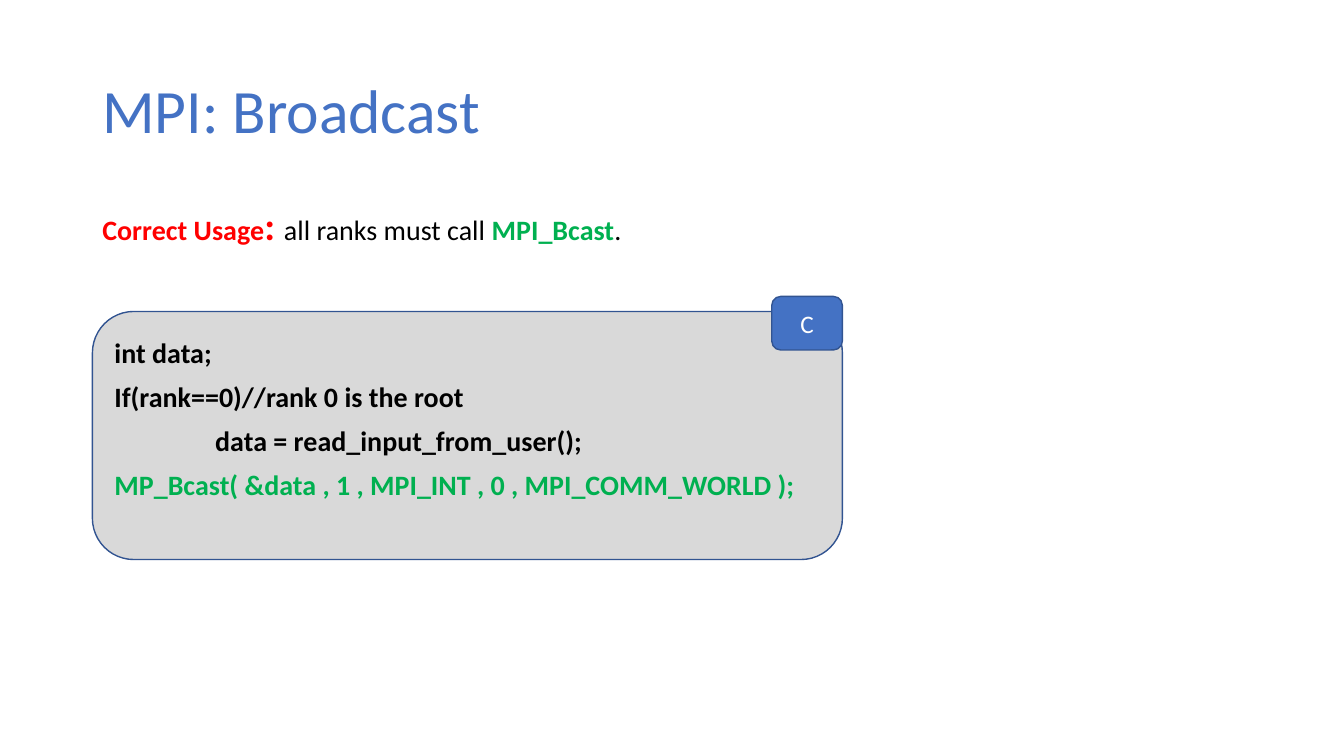
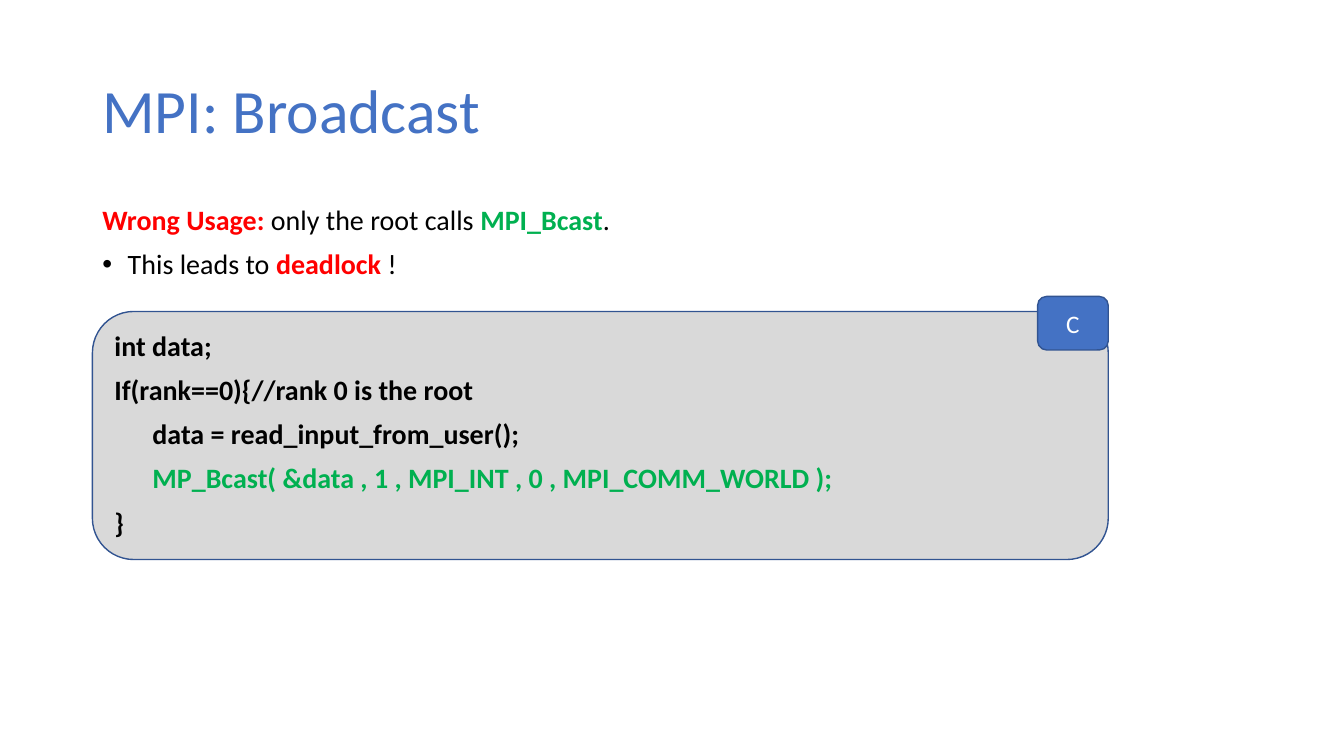
import dataclasses

import lxml.etree
import pptx
import pptx.dml.color
import pptx.enum.shapes
import pptx.enum.text
import pptx.oxml.ns
import pptx.util

Cm = pptx.util.Cm
Pt = pptx.util.Pt
MIDDLE = pptx.enum.text.MSO_ANCHOR.MIDDLE


@dataclasses.dataclass(frozen=True)
class Theme:
    font: str = "Calibri"
    accent: str = "4472C4"
    outline: str = "325491"
    panel: str = "D9D9D9"
    ink: str = "000000"
    paper: str = "FFFFFF"
    alert: str = "FF0000"
    call: str = "00B050"
    title_size: int = 44
    colon_size: int = 28
    body_size: int = 20
    badge_size: int = 18
    line_spacing: float = 0.9
    space_before: int = 10


THEME = Theme()
LEFT, CONTENT_WIDTH = Cm(2.33), Cm(29.21)


def rgb(value):
    return pptx.dml.color.RGBColor.from_string(value)


def style(font, size=None, color=None, bold=None):
    if size:
        font.size = Pt(size)
    if color:
        font.color.rgb = rgb(color)
    if bold is not None:
        font.bold = bold


def add_property(paragraph, tag, **attributes):
    """Append a DrawingML element to the paragraph properties."""
    return lxml.etree.SubElement(paragraph._p.get_or_add_pPr(),
                                 pptx.oxml.ns.qn(tag), **attributes)


def add_bullet(paragraph):
    indent = Cm(0.64)
    properties = paragraph._p.get_or_add_pPr()
    properties.set("marL", str(indent))
    properties.set("indent", str(-indent))
    add_property(paragraph, "a:buFont", typeface="Arial")
    add_property(paragraph, "a:buChar", char="•")


def add_tab_stop(paragraph, position):
    stops = add_property(paragraph, "a:tabLst")
    lxml.etree.SubElement(stops, pptx.oxml.ns.qn("a:tab"),
                          pos=str(position), algn="l")


def next_paragraph(frame, index):
    return frame.paragraphs[0] if index == 0 else frame.add_paragraph()


def set_spacing(paragraph, index):
    paragraph.line_spacing = THEME.line_spacing
    paragraph.space_before = Pt(THEME.space_before if index else 0)


def add_text_area(slide, top, height):
    frame = slide.shapes.add_textbox(LEFT, top, CONTENT_WIDTH, height).text_frame
    frame.word_wrap = True
    return frame


def add_title(slide, text):
    frame = add_text_area(slide, Cm(1.01), Cm(3.68))
    frame.vertical_anchor = MIDDLE
    title = frame.paragraphs[0]
    title.text = text
    set_spacing(title, 0)
    title.font.name = THEME.font
    style(title.font, THEME.title_size, THEME.accent)


def add_usage(slide, lines):
    """Each line is (bulleted, runs); a run is (text, color, bold, size)."""
    frame = add_text_area(slide, Cm(5.08), Cm(12.09))
    for index, (bulleted, runs) in enumerate(lines):
        line = next_paragraph(frame, index)
        if bulleted:
            add_bullet(line)
        set_spacing(line, index)
        line.font.name = THEME.font
        for text, color, bold, size in runs:
            run = line.add_run()
            run.text = text
            style(run.font, size, color, bold)


def add_rounded_box(slide, left, top, width, height, fill):
    box = slide.shapes.add_shape(
        pptx.enum.shapes.MSO_SHAPE.ROUNDED_RECTANGLE, left, top, width, height)
    box.shadow.inherit = False
    box.fill.solid()
    box.fill.fore_color.rgb = rgb(fill)
    box.line.color.rgb = rgb(THEME.outline)
    box.line.width = Pt(1)
    box.text_frame.word_wrap = True
    box.text_frame.vertical_anchor = MIDDLE
    return box


def add_code(slide, width, lines, space_below=0):
    """Code panel with a language badge flush with its right edge."""
    panel = add_rounded_box(slide, LEFT, Cm(7.85), width, Cm(6.25), THEME.panel)
    frame = panel.text_frame
    frame.margin_bottom += space_below
    for index, code in enumerate(lines):
        line = next_paragraph(frame, index)
        line.add_run().text = code
        line.alignment = pptx.enum.text.PP_ALIGN.LEFT
        if code.startswith("\t"):
            add_tab_stop(line, Cm(2.54))
        set_spacing(line, index)
        line.font.name = THEME.font
        color = THEME.call if "Bcast" in code else THEME.ink
        style(line.font, THEME.body_size, color, True)

    badge_width = Cm(1.78)
    badge = add_rounded_box(slide, LEFT + width - badge_width, Cm(7.47),
                            badge_width, Cm(1.35), THEME.accent)
    language = badge.text_frame.paragraphs[0]
    language.text = "C"
    language.alignment = pptx.enum.text.PP_ALIGN.CENTER
    language.font.name = THEME.font
    style(language.font, THEME.badge_size, THEME.paper)


def plain(text):
    return text, THEME.ink, False, THEME.body_size


def strong(text, color, size=THEME.body_size):
    return text, color, True, size


def add_broadcast_slide(deck, usage):
    slide = deck.slides.add_slide(deck.slide_layouts[6])
    add_title(slide, "MPI: Broadcast")
    add_usage(slide, usage)
    return slide


def main():
    deck = pptx.Presentation()
    deck.slide_width, deck.slide_height = Cm(33.87), Cm(19.05)
    function = strong("MPI_Bcast", THEME.call)

    # Correct usage
    correct = add_broadcast_slide(deck, [
        (False, [strong("Correct Usage", THEME.alert),
                 strong(": ", THEME.alert, THEME.colon_size),
                 plain("all ranks must call "), function, plain(".")]),
    ])
    add_code(correct, Cm(18.9), [
        "int data;",
        "If(rank==0)//rank 0 is the root",
        "\tdata = read_input_from_user();",
        "MP_Bcast( &data , 1 , MPI_INT , 0 , MPI_COMM_WORLD );",
    ], space_below=Cm(0.76))

    # Wrong usage
    wrong = add_broadcast_slide(deck, [
        (False, [strong("Wrong Usage: ", THEME.alert),
                 plain("only the root calls "), function, plain(".")]),
        (True, [plain("This leads to "), strong("deadlock", THEME.alert),
                plain(" !")]),
    ])
    add_code(wrong, Cm(25.6), [
        "int data;",
        "If(rank==0){//rank 0 is the root",
        "      data = read_input_from_user();",
        "      MP_Bcast( &data , 1 , MPI_INT , 0 , MPI_COMM_WORLD );",
        "}",
    ])

    deck.save("out.pptx")


if __name__ == "__main__":
    main()
